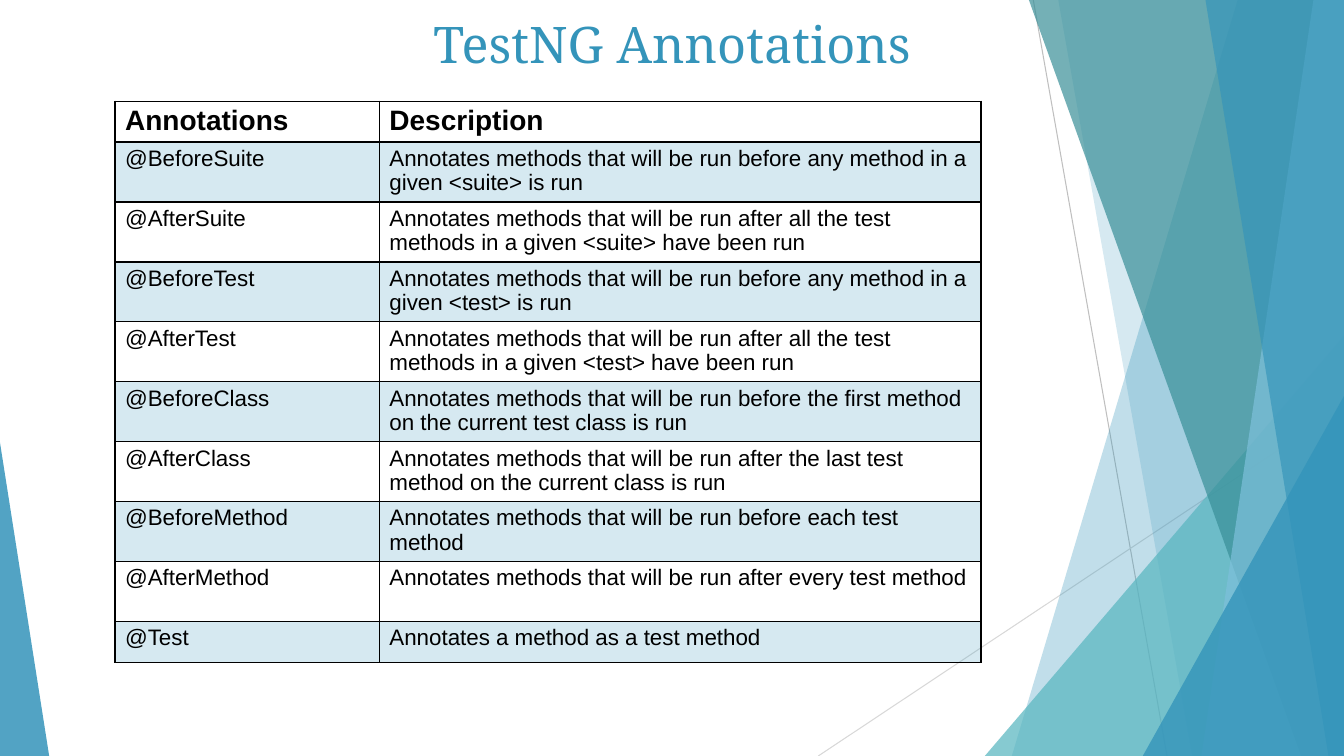
"""Build the TestNG annotations slide: a two-column table beside translucent facets."""
from lxml import etree
from pptx import Presentation
from pptx.dml.color import RGBColor
from pptx.enum.shapes import MSO_CONNECTOR, MSO_SHAPE
from pptx.enum.text import PP_ALIGN
from pptx.oxml import parse_xml
from pptx.oxml.ns import qn
from pptx.util import Cm, Pt

STRAIGHT = MSO_CONNECTOR.STRAIGHT
TRIANGLE = MSO_SHAPE.ISOSCELES_TRIANGLE
CENTER = PP_ALIGN.CENTER
DRAWING_NS = "http://schemas.openxmlformats.org/drawingml/2006/main"
SLIDE_W, SLIDE_H = 33.87, 19.05
BLUE, BLACK = "3494BA", "000000"

TITLE = "TestNG Annotations"
HEADINGS = ("Annotations", "Description")
ANNOTATIONS = [
    ("@BeforeSuite", "Annotates methods that will be run before any method in a given <suite> is run"),
    ("@AfterSuite", "Annotates methods that will be run after all the test methods in a given <suite> have been run"),
    ("@BeforeTest", "Annotates methods that will be run before any method in a given <test> is run"),
    ("@AfterTest", "Annotates methods that will be run after all the test methods in a given <test> have been run"),
    ("@BeforeClass", "Annotates methods that will be run before the first method on the current test class is run"),
    ("@AfterClass", "Annotates methods that will be run after the last test method on the current class is run"),
    ("@BeforeMethod", "Annotates methods that will be run before each test method"),
    ("@AfterMethod", "Annotates methods that will be run after every test method"),
    ("@Test", "Annotates a method as a test method"),
]
COLUMN_WIDTHS = (6.66, 15.16)
SHORT_ROW, TALL_ROW = 1.03, 1.51

RAYS = [
    ((26.04, 0), (29.41, SLIDE_H), "BFBFBF"),
    ((SLIDE_W, 10.24), (20.62, SLIDE_H), "D8D8D8"),
]
# Bands hold top-left x and bottom-left x; wedges hold left, top, width and apex position.
FACETS = [
    ("band", (31.19, 25.5), BLUE, 30),
    ("band", (26.67, 30.05), BLUE, 20),
    ("wedge", (24.82, 8.46, 9.05, 1), "58B6C0", 72),
    ("band", (25.93, 32.79), "398F98", 70),
    ("band", (33.1, 30.28), "7EC0DB", 70),
    ("band", (30.38, 33.48), BLUE, 65),
    ("wedge", (28.8, 9.98, 5.07, 1), BLUE, 80),
    ("wedge", (0, 11.15, 1.24, 0), BLUE, 85),
]


def rgb(code):
    return RGBColor.from_string(code)


def paint(fill, properties, color, opacity):
    fill.solid()
    fill.fore_color.rgb = rgb(color)
    tint = properties.find(qn("a:solidFill") + "/" + qn("a:srgbClr"))
    etree.SubElement(tint, qn("a:alpha")).set("val", str(opacity * 1000))


def style(paragraph, font, size, color, bold=False):
    paragraph.font.name = font
    paragraph.font.size = Pt(size)
    paragraph.font.color.rgb = rgb(color)
    paragraph.font.bold = bold


def add_ray(slide, start, end, color):
    ray = slide.shapes.add_connector(STRAIGHT, *map(Cm, start + end))
    ray.line.color.rgb = rgb(color)
    ray.line.width = Pt(0.75)
    etree.SubElement(ray._element.spPr, qn("a:effectLst"))


def add_facet(slide, kind, geometry, color, opacity):
    if kind == "band":
        top_x, bottom_x = geometry
        outline = slide.shapes.build_freeform(Cm(top_x), 0)
        corners = [(SLIDE_W, 0), (SLIDE_W, SLIDE_H), (bottom_x, SLIDE_H)]
        outline.add_line_segments([(Cm(x), Cm(y)) for x, y in corners])
        facet = outline.convert_to_shape()
    else:
        left, top, width, apex = geometry
        facet = slide.shapes.add_shape(TRIANGLE, Cm(left), Cm(top), Cm(width), Cm(SLIDE_H - top))
        facet.adjustments[0] = apex
    facet.shadow.inherit = False
    facet.line.fill.background()
    paint(facet.fill, facet._element.spPr, color, opacity)


def add_borders(properties):
    for side in ("lnL", "lnR", "lnT", "lnB"):
        properties.append(parse_xml(
            f'<a:{side} xmlns:a="{DRAWING_NS}" w="{Pt(1)}"><a:solidFill>'
            f'<a:srgbClr val="{BLACK}"/></a:solidFill></a:{side}>'))


def add_annotations(slide):
    rows = [HEADINGS] + ANNOTATIONS
    heights = [SHORT_ROW] + [TALL_ROW] * (len(rows) - 2) + [SHORT_ROW]
    table = slide.shapes.add_table(len(rows), len(HEADINGS), Cm(2.9), Cm(2.55),
                                   Cm(sum(COLUMN_WIDTHS)), Cm(sum(heights))).table
    for column, width in zip(table.columns, COLUMN_WIDTHS):
        column.width = Cm(width)
    for row_number, (texts, height) in enumerate(zip(rows, heights)):
        table.rows[row_number].height = Cm(height)
        heading = row_number == 0
        for column_number, text in enumerate(texts):
            cell = table.cell(row_number, column_number)
            cell.text = text
            paragraph = cell.text_frame.paragraphs[0]
            paragraph.line_spacing = 0.97
            style(paragraph, "Arial", 20 if heading else 16, BLACK, heading)
            properties = cell._tc.get_or_add_tcPr()
            add_borders(properties)
            if row_number % 2:
                paint(cell.fill, properties, BLUE, 20)
            else:
                cell.fill.background()


def add_title(slide):
    frame = slide.shapes.add_textbox(0, Cm(0.2), Cm(SLIDE_W), Cm(2.87)).text_frame
    frame.word_wrap = True
    frame.text = TITLE
    frame.paragraphs[0].alignment = CENTER
    style(frame.paragraphs[0], "Noto Serif", 36, BLUE)


presentation = Presentation()
presentation.slide_width, presentation.slide_height = Cm(SLIDE_W), Cm(SLIDE_H)
slide = presentation.slides.add_slide(presentation.slide_layouts[6])
for ray in RAYS:
    add_ray(slide, *ray)
for facet in FACETS:
    add_facet(slide, *facet)
add_annotations(slide)
add_title(slide)
presentation.save("out.pptx")
